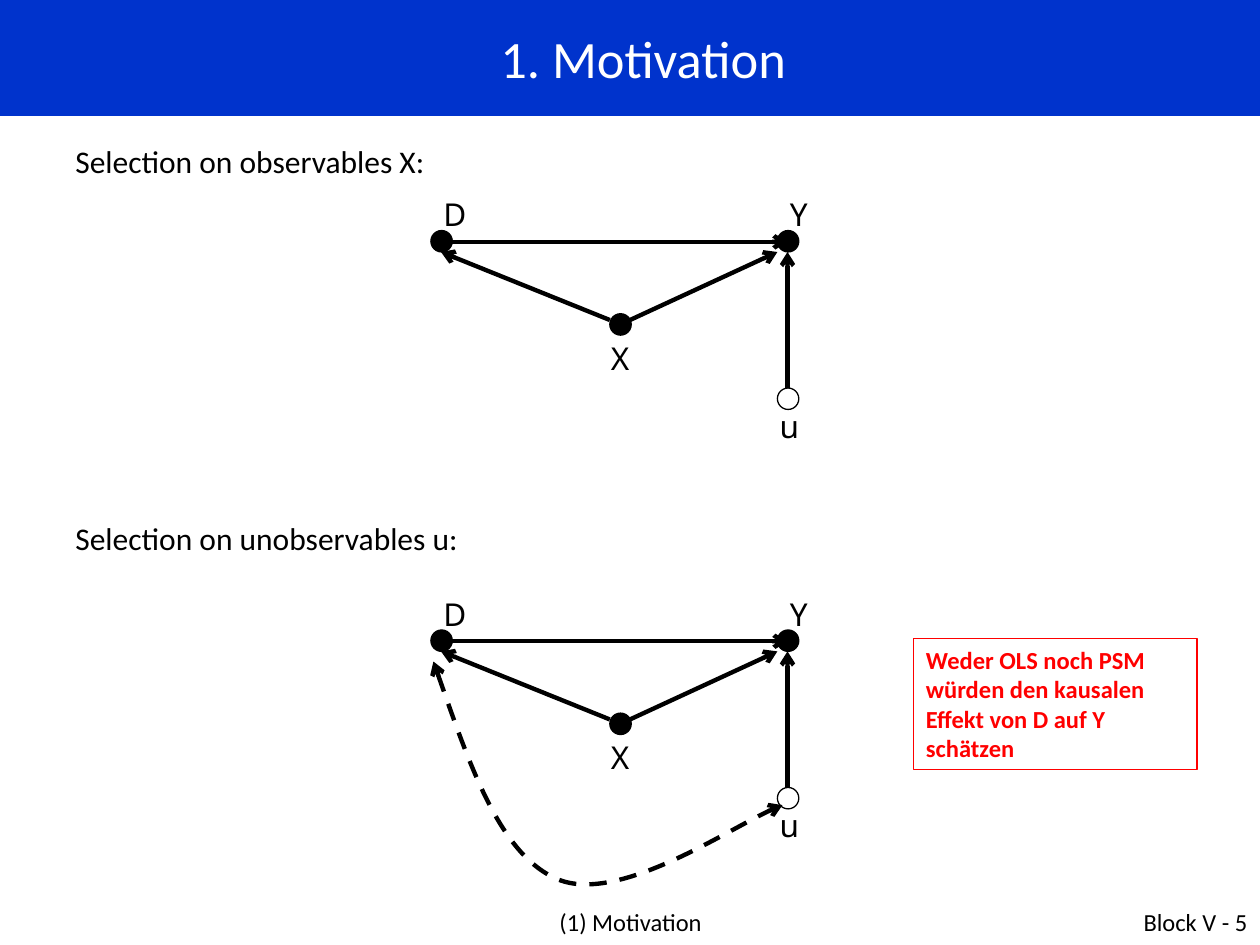
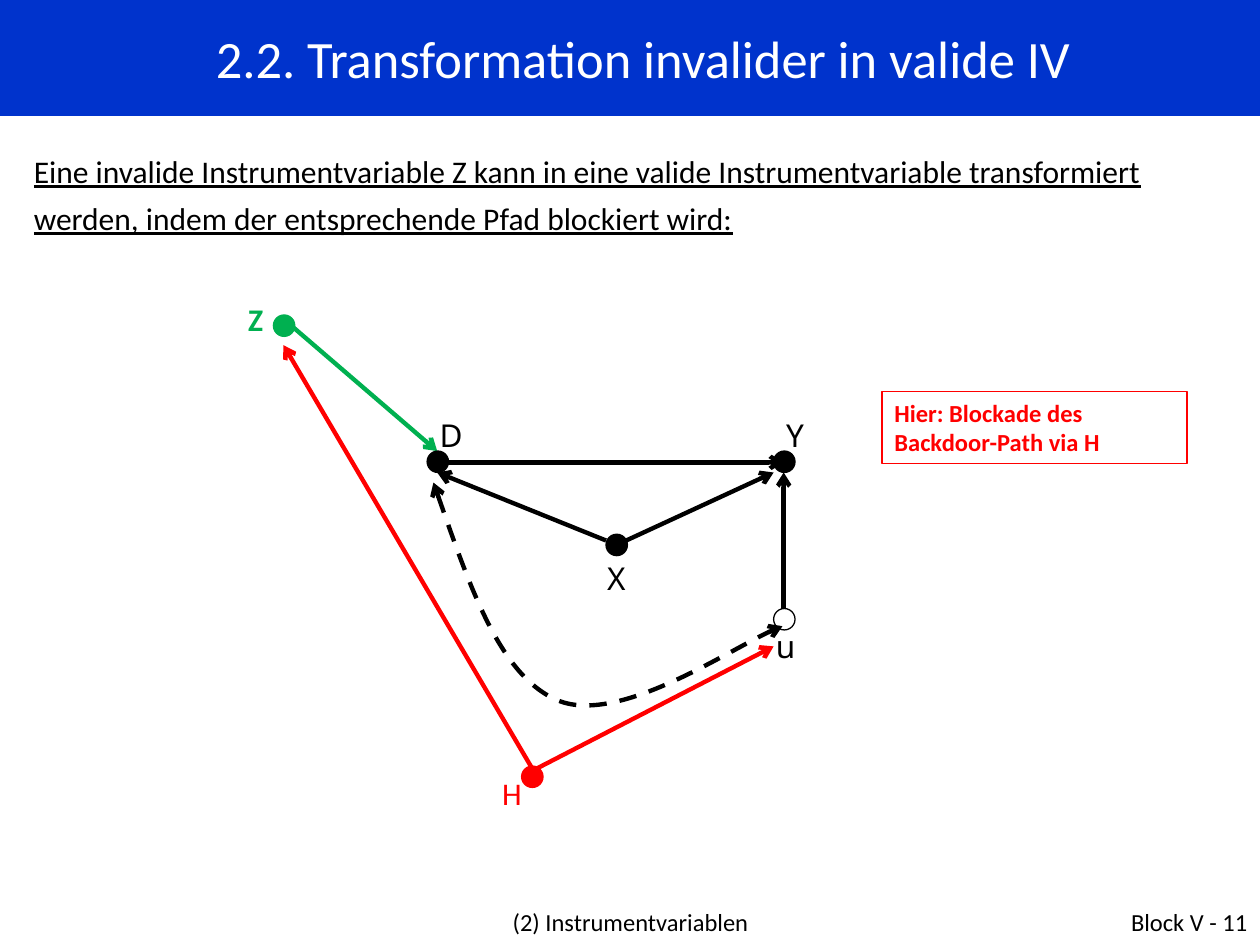
from lxml import etree
from pptx import Presentation
from pptx.dml.color import RGBColor
from pptx.enum.dml import MSO_LINE
from pptx.enum.shapes import MSO_CONNECTOR, MSO_SHAPE
from pptx.enum.text import MSO_ANCHOR, PP_ALIGN
from pptx.oxml.ns import qn
from pptx.util import Inches, Pt

RECTANGLE, ELLIPSE = MSO_SHAPE.RECTANGLE, MSO_SHAPE.OVAL
STRAIGHT = MSO_CONNECTOR.STRAIGHT
LEFT, CENTER, RIGHT = PP_ALIGN.LEFT, PP_ALIGN.CENTER, PP_ALIGN.RIGHT
TOP, MIDDLE = MSO_ANCHOR.TOP, MSO_ANCHOR.MIDDLE
DASH = MSO_LINE.DASH

BLACK, WHITE, BLUE = "000000", "FFFFFF", "0033CC"
RED, GREEN = "FF0000", "00B050"
TEXT_FONT, NODE_FONT = "Calibri", "Noto Sans"
DOT = 0.17
TITLE_ONLY = 5

# Causal graph, measured from the upper left corner of its D label:
# name, dot position, label position, observed
NODES = [
    ("D", (0, 0.33), (0, 0), True),
    ("Y", (2.75, 0.33), (2.75, 0), True),
    ("u", (2.75, 1.58), (2.67, 1.68), False),
    ("X", (1.42, 0.99), (1.33, 1.14), True),
]
D_TO_Y = ((0.08, 0.42), (2.83, 0.42))
EFFECTS = [
    ((1.42, 1.04), (0.08, 0.5)),
    ((1.58, 1.04), (2.75, 0.5)),
    ((2.83, 1.58), (2.83, 0.5)),
]
# Bezier points of the path between D and u, x from the slide's left edge
HIDDEN_PATH = [(3.44, 0.58), (3.71, 1.35), (3.97, 2.12), (4.43, 2.31),
               (4.9, 2.5), (5.92, 1.82), (6.21, 1.72)]


def rgb(value):
    return RGBColor.from_string(value)


def write(shape, text, size=18, color=BLACK, font=TEXT_FONT, align=LEFT,
          anchor=TOP, bold=False, underline=False):
    frame = shape.text_frame
    frame.text = text
    frame.word_wrap = True
    frame.vertical_anchor = anchor
    paragraph = frame.paragraphs[0]
    paragraph.alignment = align
    style = paragraph.runs[0].font
    style.name, style.size = font, Pt(size)
    style.bold, style.underline = bold, underline
    style.color.rgb = rgb(color)
    return paragraph


def add_text(slide, box, text, **style):
    textbox = slide.shapes.add_textbox(*map(Inches, box))
    return write(textbox, text, **style)


def add_outlined(slide, kind, box, color, filled=False):
    shape = slide.shapes.add_shape(kind, *map(Inches, box))
    shape.shadow.inherit = False
    if filled:
        shape.fill.solid()
        shape.fill.fore_color.rgb = rgb(color)
    else:
        shape.fill.background()
    shape.line.color.rgb = rgb(color)
    shape.line.width = Pt(0.75)
    return shape


def add_dot(slide, x, y, color=BLACK, filled=True):
    add_outlined(slide, ELLIPSE, (x, y, DOT, DOT), color, filled)


def add_note(slide, box, text):
    note = add_outlined(slide, RECTANGLE, box, RED)
    write(note, text, size=14, color=RED, bold=True)


def style_arrow(line, color, ends):
    line.color.rgb = rgb(color)
    line.width = Pt(2.5)
    for end in ends:
        etree.SubElement(line._get_or_add_ln(), qn(f"a:{end}"), type="arrow")


def add_arrow(slide, start, end, color=BLACK):
    arrow = slide.shapes.add_connector(STRAIGHT, *map(Inches, (*start, *end)))
    style_arrow(arrow.line, color, ["tailEnd"])
    etree.SubElement(arrow._element.spPr, qn("a:effectLst"))


def add_hidden_path(slide, top):
    """Draw the dashed double arrow between D and u as a Bezier curve."""
    points = [(Inches(x), Inches(top + y)) for x, y in HIDDEN_PATH]
    builder = slide.shapes.build_freeform(*points[0])
    builder.add_line_segments(points[1:], close=False)
    curve = builder.convert_to_shape()
    segments = list(curve._element.iter(qn("a:lnTo")))
    for i in range(0, len(segments), 3):
        bezier = etree.Element(qn("a:cubicBezTo"))
        segments[i].addprevious(bezier)
        for segment in segments[i:i + 3]:
            bezier.append(segment[0])
            segment.getparent().remove(segment)
    curve.shadow.inherit = False
    curve.fill.background()
    curve.line.dash_style = DASH
    style_arrow(curve.line, BLACK, ["headEnd", "tailEnd"])


def add_causal_graph(slide, left, top, hidden_path=False):
    def place(point):
        return left + point[0], top + point[1]

    add_arrow(slide, *map(place, D_TO_Y))
    for name, dot, label, observed in NODES:
        add_dot(slide, *place(dot), filled=observed)
        add_text(slide, (*place(label), 0.5, 0.4), name, font=NODE_FONT)
    for effect in EFFECTS:
        add_arrow(slide, *map(place, effect))
    if hidden_path:
        add_hidden_path(slide, top)


def add_slide(prs, title, section, number):
    slide = prs.slides.add_slide(prs.slide_layouts[TITLE_ONLY])
    band = slide.shapes.title
    band.left, band.top = Inches(0), Inches(0)
    band.width, band.height = Inches(10), Inches(0.92)
    band.fill.solid()
    band.fill.fore_color.rgb = rgb(BLUE)
    heading = write(band, title, size=30, color=WHITE, align=CENTER,
                    anchor=MIDDLE)
    indents = heading._p.get_or_add_pPr()
    indents.set("marL", str(Inches(0.52)))
    indents.set("indent", str(Inches(-0.31)))
    add_text(slide, (2.42, 7.15, 5.17, 0.52), section, size=14, align=CENTER)
    add_text(slide, (7.67, 7.15, 2.33, 0.52), f"Block V - {number}", size=14,
             align=RIGHT)
    return slide


def build_motivation(prs):
    slide = add_slide(prs, "1. Motivation", "(1) Motivation", 5)
    add_text(slide, (0.5, 1.08, 7.83, 0.4), "Selection on observables X:")
    add_causal_graph(slide, 3.42, 1.5)
    add_text(slide, (0.5, 4.07, 7.18, 0.4), "Selection on unobservables u:")
    add_causal_graph(slide, 3.42, 4.67, hidden_path=True)
    add_note(slide, (7.25, 5.07, 2.25, 1.04),
             "Weder OLS noch PSM würden den kausalen Effekt von D auf Y "
             "schätzen")


def build_transformation(prs):
    slide = add_slide(prs, "2.2. Transformation invalider in valide IV",
                      "(2) Instrumentvariablen", 11)
    claim = add_text(
        slide, (0.17, 1.08, 9.5, 0.86),
        "Eine invalide Instrumentvariable Z kann in eine valide "
        "Instrumentvariable transformiert werden, indem der entsprechende "
        "Pfad blockiert wird:", underline=True)
    claim.line_spacing = 1.25

    add_arrow(slide, (4.24, 6.11), (6.14, 5.13), RED)
    add_text(slide, (3.74, 6.09, 0.5, 0.4), "H", color=RED, align=RIGHT)
    add_dot(slide, 4.14, 6.08, RED)
    add_arrow(slide, (4.23, 6.11), (2.25, 2.74), RED)

    add_text(slide, (1.87, 2.33, 0.55, 0.4), "Z", color=GREEN, bold=True)
    add_arrow(slide, (2.33, 2.6), (3.47, 3.58), GREEN)
    add_dot(slide, 2.17, 2.5, GREEN)

    add_causal_graph(slide, 3.39, 3.25, hidden_path=True)
    add_note(slide, (7, 3.11, 2.42, 0.57),
             "Hier: Blockade des Backdoor-Path via H")


def main():
    prs = Presentation()
    prs.slide_width, prs.slide_height = Inches(10), Inches(7.5)
    build_motivation(prs)
    build_transformation(prs)
    prs.save("out.pptx")


if __name__ == "__main__":
    main()
